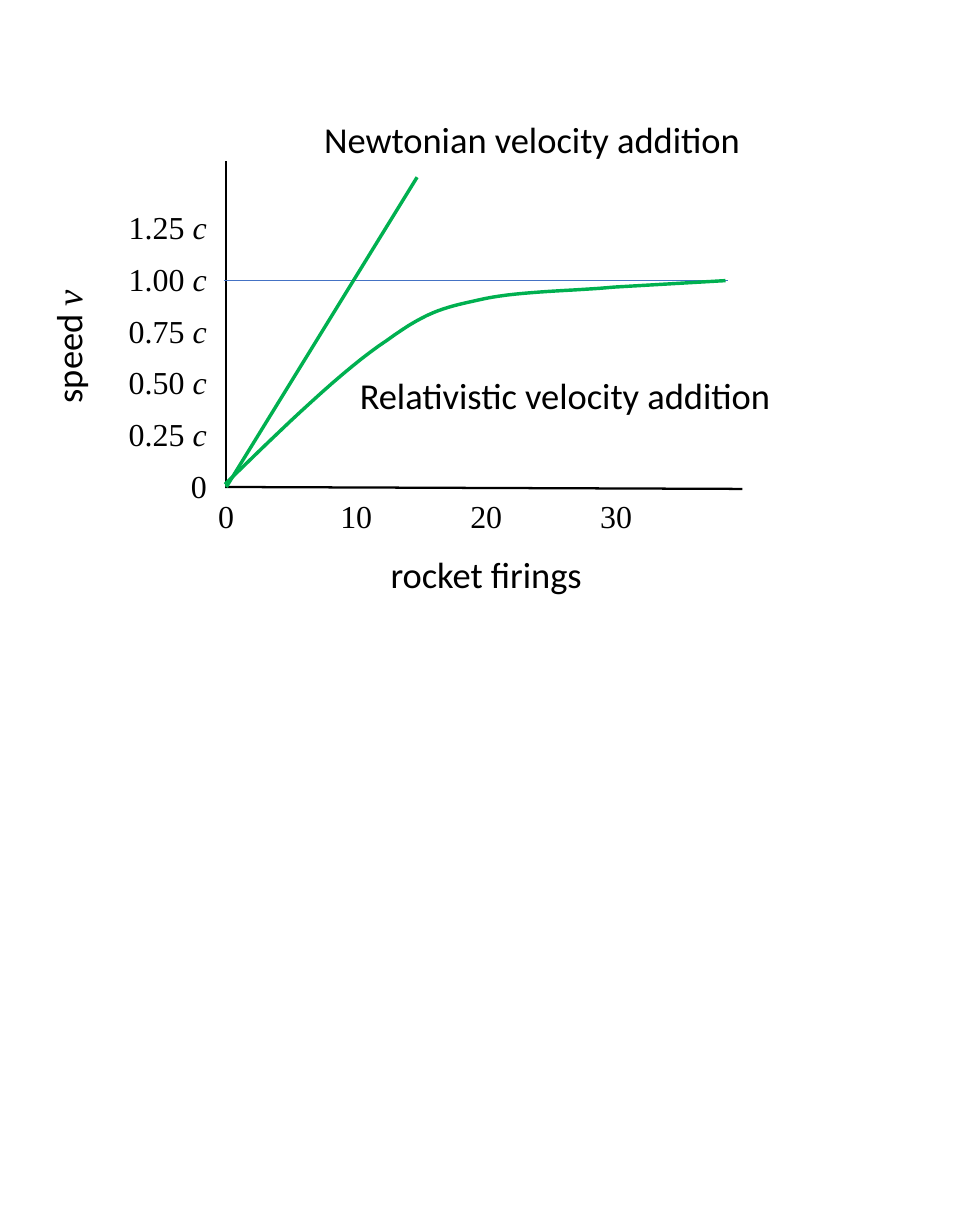
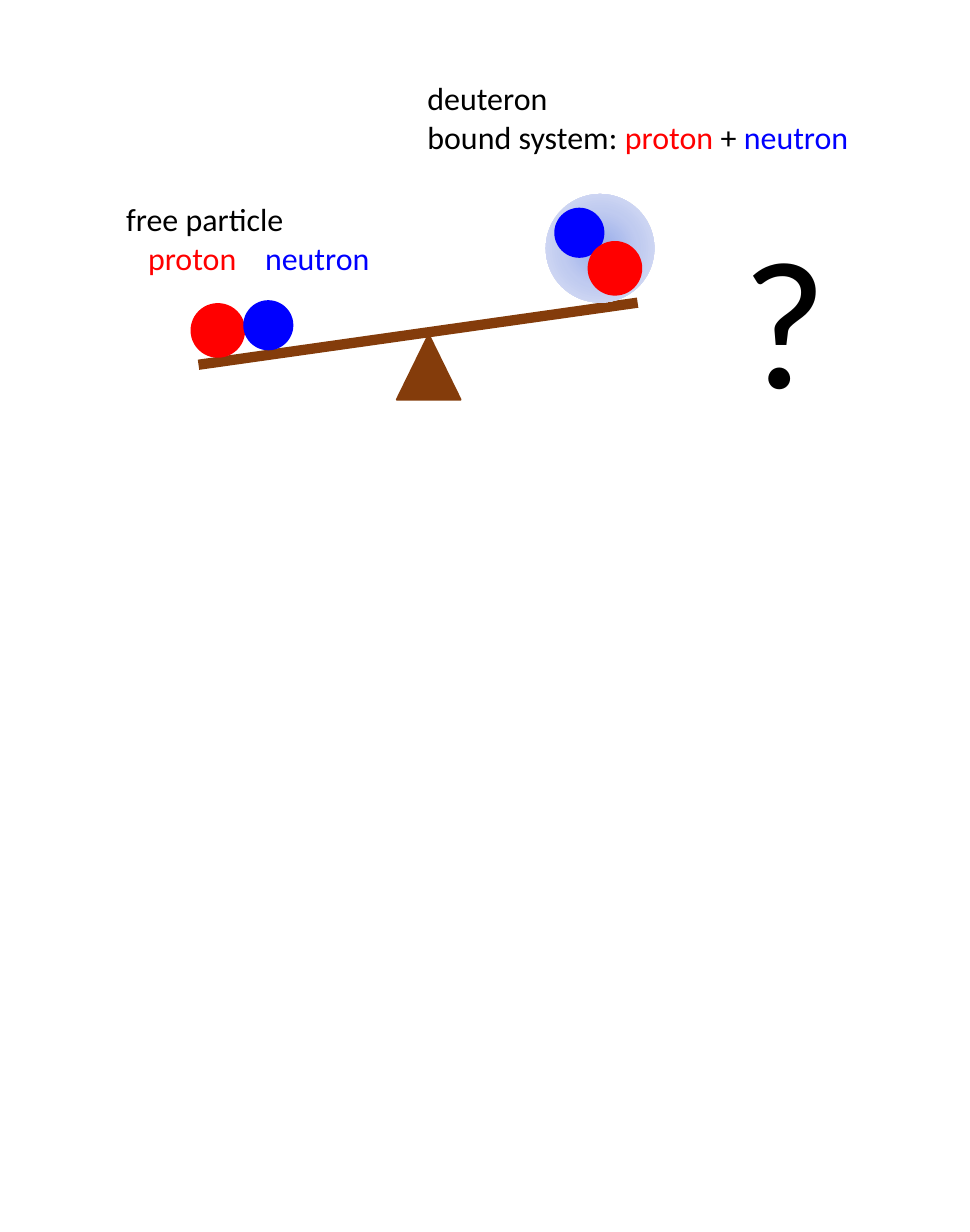
from collections import namedtuple

from lxml.etree import SubElement
from pptx import Presentation
from pptx.dml.color import RGBColor
from pptx.enum.shapes import MSO_CONNECTOR, MSO_SHAPE
from pptx.enum.text import MSO_ANCHOR, PP_ALIGN
from pptx.oxml import parse_xml
from pptx.oxml.ns import nsdecls, qn
from pptx.util import Cm, Pt

BLACK = RGBColor(0x00, 0x00, 0x00)
GREEN = RGBColor(0x00, 0xB0, 0x50)
BLUE_LINE = RGBColor(0x44, 0x72, 0xC4)
RED = RGBColor(0xFF, 0x00, 0x00)
BLUE = RGBColor(0x00, 0x00, 0xFF)
BROWN = RGBColor(0x84, 0x3C, 0x0B)
HALO_STOPS = [(0, "96ABEA"), (50, "C0CBF0"), (100, "E0E5F7")]

SANS = "Calibri"
SERIF = "Times New Roman"

Span = namedtuple("Span", "text color font italic", defaults=(BLACK, SANS, False))

PROTON_SIZE = 0.81
NEUTRON_SIZE = 0.74


def add_text(page, left, top, width, height, lines, size, align=PP_ALIGN.LEFT, tabs=()):
    """Place lines of spans in a text box; all lengths are in centimetres."""
    box = page.shapes.add_textbox(Cm(left), Cm(top), Cm(width), Cm(height))
    frame = box.text_frame
    frame.word_wrap = True
    frame.vertical_anchor = MSO_ANCHOR.MIDDLE
    for index, line in enumerate(lines):
        para = frame.paragraphs[0] if index == 0 else frame.add_paragraph()
        para.alignment = align
        if tabs:
            stops = SubElement(para._p.get_or_add_pPr(), qn("a:tabLst"))
            for position in tabs:
                SubElement(stops, qn("a:tab"), pos=str(Cm(position)), algn="l")
        for span in line:
            run = para.add_run()
            run.text = span.text
            run.font.size = Pt(size)
            run.font.name = span.font
            run.font.italic = span.italic
            run.font.color.rgb = span.color
    return box


def add_label(page, x, y, width, spans, size=16, align=PP_ALIGN.CENTER):
    """One line of text centred on a point."""
    height = 0.9
    return add_text(page, x - width / 2, y - height / 2, width, height, [spans], size, align)


def add_line(page, start, end, color, weight):
    line = page.shapes.add_connector(
        MSO_CONNECTOR.STRAIGHT, *(Cm(value) for value in (*start, *end)))
    line.line.color.rgb = color
    line.line.width = Pt(weight)
    SubElement(line._element.spPr, qn("a:effectLst"))


def add_solid(shapes, kind, left, top, width, height, color):
    shape = shapes.add_shape(kind, Cm(left), Cm(top), Cm(width), Cm(height))
    shape.shadow.inherit = False
    shape.fill.solid()
    shape.fill.fore_color.rgb = color
    shape.line.color.rgb = color
    shape.line.width = Pt(1)
    return shape


def add_ball(shapes, x, y, size, color):
    return add_solid(shapes, MSO_SHAPE.OVAL, x - size / 2, y - size / 2, size, size, color)


def bezier(points, steps=16):
    """Points along a cubic curve, without its first one."""
    for step in range(1, steps + 1):
        t = step / steps
        weights = ((1 - t) ** 3, 3 * t * (1 - t) ** 2, 3 * t * t * (1 - t), t ** 3)
        yield tuple(sum(w * p[axis] for w, p in zip(weights, points)) for axis in (0, 1))


def add_speed_plot(page, left, bottom):
    """Speed against rocket firings, with its origin at (left, bottom)."""
    step_x, step_y = 2.01, 0.8

    def at(x, y):
        return left + x, bottom - y

    # Axes
    add_line(page, at(0, 5.04), at(0, 0), BLACK, 1)
    add_line(page, at(-0.02, 0), at(7.98, -0.03), BLACK, 1)

    # Axis labels
    for index in range(6):
        spans = [Span("0", font=SERIF)]
        if index:
            spans = [Span(f"{index * 0.25:.2f} ", font=SERIF),
                     Span("c", font=SERIF, italic=True)]
        add_label(page, *at(-1.05, 0.02 + index * step_y), 2, spans, 14, PP_ALIGN.RIGHT)
    for index in range(4):
        add_label(page, *at(index * step_x, -0.45), 1.1,
                  [Span(str(index * 10), font=SERIF)], 14)
    speed = add_label(page, *at(-2.45, 2.17), 2.4,
                      [Span("speed "), Span("v", font=SERIF, italic=True)])
    speed.rotation = 270
    add_label(page, *at(4.02, -1.35), 3.7, [Span("rocket firings")])

    # Light speed limit and Newtonian line
    add_line(page, at(-0.04, 3.19), at(7.75, 3.19), BLUE_LINE, 0.5)
    add_line(page, at(0, 0), at(2.95, 4.79), GREEN, 1.5)

    # Relativistic curve
    start = (7.72, 3.19)
    points = [(6, 3.09)]
    for controls in (
        [(5.39, 3.03), (4.58, 3.03), (3.99, 2.91)],
        [(3.41, 2.78), (3.15, 2.75), (2.49, 2.27)],
        [(1.81, 1.82), (0.89, 0.93), (-0.02, 0.04)],
    ):
        points.extend(bezier([points[-1], *controls]))
    outline = [tuple(Cm(value) for value in at(*point)) for point in (start, *points)]
    builder = page.shapes.build_freeform(*outline[0])
    builder.add_line_segments(outline[1:], close=False)
    curve = builder.convert_to_shape()
    curve.shadow.inherit = False
    curve.fill.background()
    curve.line.color.rgb = GREEN
    curve.line.width = Pt(1.5)

    # Curve names
    add_label(page, *at(4.73, 5.38), 7.4, [Span("Newtonian velocity addition")])
    add_label(page, *at(5.24, 1.42), 7.4, [Span("Relativistic velocity addition")])


def add_deuteron(page, x, y):
    """Proton and neutron in a pale halo centred on (x, y)."""
    group = page.shapes.add_group_shape()
    halo = add_ball(group.shapes, x, y, 1.68, BLUE)
    halo.line.fill.background()
    stops = "".join(f'<a:gs pos="{place * 1000}"><a:srgbClr val="{color}"/></a:gs>'
                    for place, color in HALO_STOPS)
    gradient = parse_xml(
        f'<a:gradFill {nsdecls("a")}><a:gsLst>{stops}</a:gsLst><a:path path="circle">'
        '<a:fillToRect l="50000" t="50000" r="50000" b="50000"/></a:path></a:gradFill>')
    properties = halo._element.spPr
    properties.replace(properties.find(qn("a:solidFill")), gradient)
    add_ball(group.shapes, x - 0.32, y - 0.24, NEUTRON_SIZE, BLUE)
    add_ball(group.shapes, x + 0.23, y + 0.31, PROTON_SIZE, RED)


def add_seesaw(page, left, top):
    """Free particles weighed against a deuteron, in a box at (left, top)."""
    # Support and beam
    add_solid(page.shapes, MSO_SHAPE.ISOSCELES_TRIANGLE,
              left + 3.14, top + 2.18, 0.98, 1, BROWN)
    add_line(page, (left + 0.07, top + 2.64), (left + 6.86, top + 1.68), BROWN, 4.5)

    # Particles
    add_ball(page.shapes, left + 0.37, top + 2.11, PROTON_SIZE, RED)
    add_ball(page.shapes, left + 1.15, top + 2.03, NEUTRON_SIZE, BLUE)
    add_deuteron(page, left + 6.28, top + 0.84)

    # Captions
    add_text(page, left + 3.36, top - 1.91, 7.3, 1.45, [
        [Span("deuteron")],
        [Span("bound system: "), Span("proton", RED), Span(" + "), Span("neutron", BLUE)],
    ], 14)
    add_text(page, left - 1.3, top - 0.04, 4.6, 1.45, [
        [Span("free particle")],
        [Span("\tproton", RED), Span("\tneutron", BLUE)],
    ], 14, tabs=(0.34, 2.15))
    add_text(page, left + 8.23, top + 0.04, 1.9, 3.68, [[Span("?")]], 80)


def main():
    deck = Presentation()
    deck.slide_width, deck.slide_height = Cm(15), Cm(19.05)
    blank = deck.slide_layouts[6]
    add_speed_plot(deck.slides.add_slide(blank), 3.5, 7.53)
    add_seesaw(deck.slides.add_slide(blank), 3, 3)
    deck.save("out.pptx")


if __name__ == "__main__":
    main()
